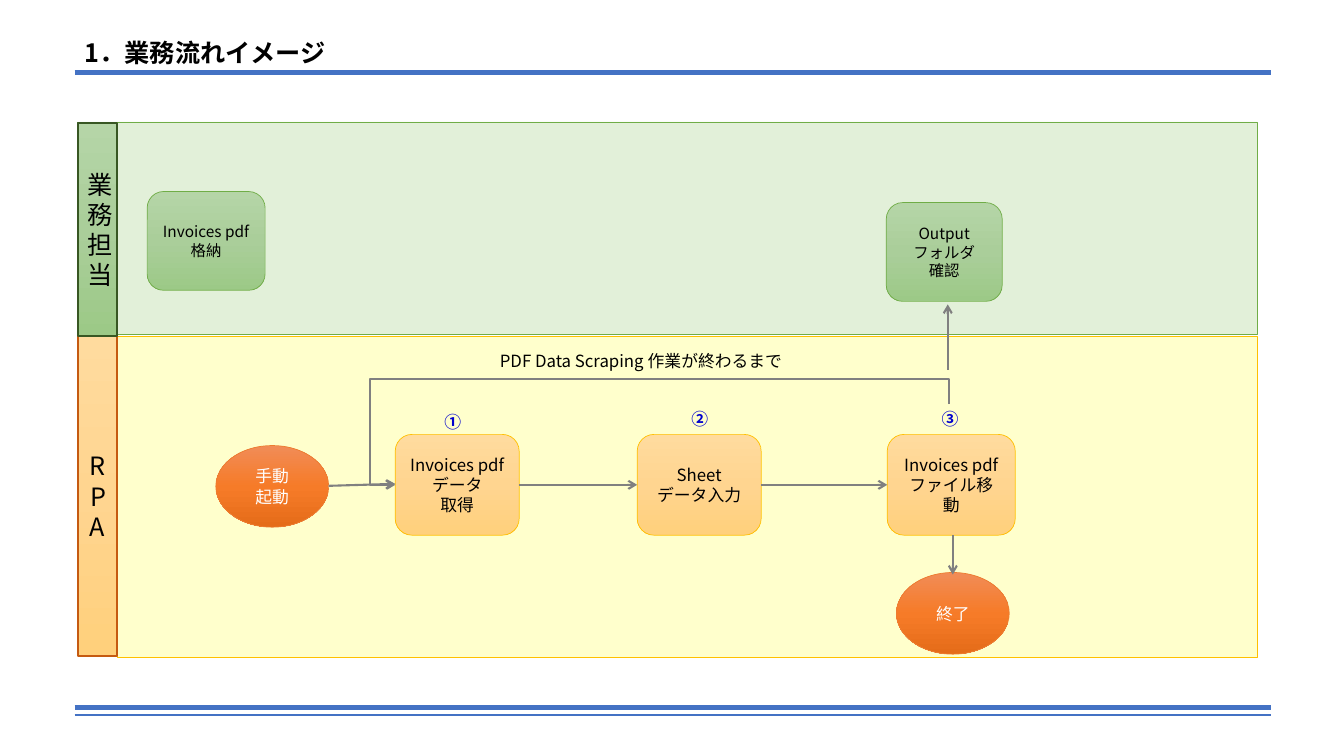
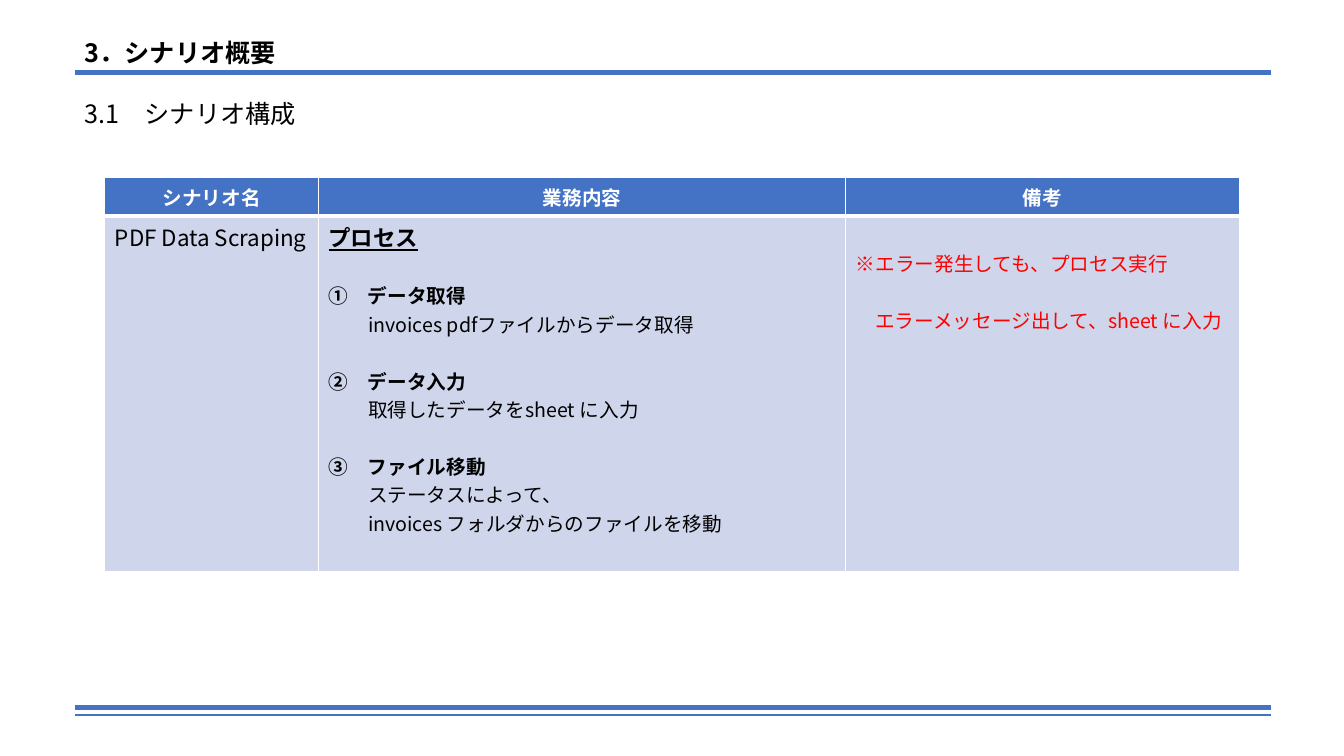
import pptx
import pptx.util
import pptx.dml.color
import pptx.enum.shapes
import pptx.enum.text
import pptx.oxml
import pptx.oxml.ns
import copy
from dataclasses import dataclass

Inches, Pt = pptx.util.Inches, pptx.util.Pt
SHAPE = pptx.enum.shapes.MSO_SHAPE
STRAIGHT = pptx.enum.shapes.MSO_CONNECTOR.STRAIGHT
ALIGN = pptx.enum.text.PP_ALIGN
MIDDLE = pptx.enum.text.MSO_ANCHOR.MIDDLE
qn = pptx.oxml.ns.qn


@dataclass(frozen=True)
class Theme:
    font: str = "Noto Sans CJK JP"
    ink: str = "000000"
    white: str = "FFFFFF"
    blue: str = "4472C4"
    gray: str = "808080"
    number: str = "0000CC"
    alert: str = "FF0000"
    table_body: str = "CFD5EA"
    green: tuple = ("B5D5A7", "AACE9A", "9CC987")
    amber: tuple = ("FFDB9E", "FFD590", "FFD07C")
    orange: tuple = ("F18C57", "F67B28", "E56C19")
    green_line: str = "70AD47"
    amber_line: str = "FFC000"
    orange_line: str = "ED7D31"
    title: int = 18
    lead: int = 16
    body: int = 14
    label: int = 12
    small: int = 11


T = Theme()

# Content: workflow slide (boxes are left, top, width, height in inches)
FLOW_TITLE = "1．業務流れイメージ"
LANES = [  # name, area box, area fill, area line, tab box, tab fill, tab line
    ("RPA", (1.16, 3.34, 11.31, 3.18), "FFFFCC", T.amber_line,
     (0.77, 3.33, 0.39, 3.18), T.amber, "C55A11"),
    ("業務担当", (0.77, 1.21, 11.7, 2.11), "E2F0D9", T.green_line,
     (0.77, 1.22, 0.39, 2.11), T.green, "385723"),
]
STAFF_TASKS = [
    (["Invoices pdf", "格納"], (1.46, 1.9, 1.17, 0.98)),
    (["Output", "フォルダ", "確認"], (8.79, 2.01, 1.15, 0.98)),
]
TERMINALS = [
    (["手動", "起動"], (2.14, 4.42, 1.12, 0.81)),
    (["終了"], (8.89, 5.68, 1.12, 0.81)),
]
STEPS = [  # number, number position, lines, box
    ("①", (4.31, 4.04), ["Invoices pdf データ", "取得"], (3.92, 4.31, 1.23, 1)),
    ("②", (6.76, 4.01), ["Sheet", "データ入力"], (6.32, 4.31, 1.23, 1)),
    ("③", (9.24, 4.01), ["Invoices pdf ファイル移動"], (8.8, 4.31, 1.27, 1)),
]
LOOP_LABEL = "PDF Data Scraping 作業が終わるまで"
LOOP = [(9.41, 4.01), (9.41, 3.76), (3.67, 3.76), (3.67, 4.81), (3.92, 4.81)]

# Content: scenario slide
SCENARIO_TITLE = "3．シナリオ概要"
SCENARIO_HEADING = "3.1　シナリオ構成"
COLUMNS = [("シナリオ名", 2.12), ("業務内容", 5.23), ("備考", 3.9)]
ROW_HEIGHTS = [0.38, 3.53]
SCENARIO_NAME = "PDF Data Scraping"
PROCESS_HEADING = "プロセス"
PROCESS = [
    ("①　データ取得", ["invoices pdfファイルからデータ取得"]),
    ("②　データ入力", ["取得したデータをsheet に入力"]),
    ("③　ファイル移動", ["ステータスによって、",
                  "invoices フォルダからのファイルを移動"]),
]
REMARKS = ["※エラー発生しても、プロセス実行", "エラーメッセージ出して、sheet に入力"]
BLANK_LINE = 20  # points


# Shared drawing helpers
def rgb(value):
    return pptx.dml.color.RGBColor.from_string(value)


def inches(values):
    return [Inches(value) for value in values]


def style(paragraph, size, color=T.ink, bold=False, align=ALIGN.LEFT):
    font = paragraph.font
    font.name, font.size, font.bold = T.font, Pt(size), bold
    font.color.rgb = rgb(color)
    latin = font._element.find(qn("a:latin"))
    east_asian = pptx.oxml.parse_xml(
        f'<a:ea {pptx.oxml.ns.nsdecls("a")} typeface="{T.font}"/>')
    latin.addnext(east_asian)
    paragraph.alignment = align


def write(frame, lines, size, **look):
    for index, line in enumerate(lines):
        add_line(frame, line, size, first=index == 0, **look)


def add_line(frame, text, size, first=False, before=0, **look):
    paragraph = frame.paragraphs[0] if first else frame.add_paragraph()
    paragraph.text = text
    style(paragraph, size, **look)
    if before:
        paragraph.space_before = Pt(before)
    return paragraph


def label(slide, box, text, size, wrap=True, **look):
    frame = slide.shapes.add_textbox(*inches(box)).text_frame
    frame.word_wrap = wrap
    write(frame, [text], size, **look)


def block(slide, kind, box, fill, line, width=0.5, lines=(), size=T.label, color=T.ink):
    shape = slide.shapes.add_shape(kind, *inches(box))
    shape.shadow.inherit = False
    if isinstance(fill, tuple):
        shape.fill.gradient()
        shape.fill.gradient_angle = 270
        stops = shape._element.spPr.find(".//" + qn("a:gsLst"))
        stops.insert(1, copy.deepcopy(stops[0]))
        for index, (stop, tint) in enumerate(zip(shape.fill.gradient_stops, fill)):
            stop.position = index / 2
            stop.color.rgb = rgb(tint)
    else:
        shape.fill.solid()
        shape.fill.fore_color.rgb = rgb(fill)
    shape.line.color.rgb = rgb(line)
    shape.line.width = Pt(width)
    shape.text_frame.word_wrap = True
    shape.text_frame.vertical_anchor = MIDDLE
    write(shape.text_frame, lines, size, color=color, align=ALIGN.CENTER)
    return shape


def add_arrowhead(shape):
    tail = pptx.oxml.parse_xml(f'<a:tailEnd {pptx.oxml.ns.nsdecls("a")} type="arrow"/>')
    shape.line._get_or_add_ln().append(tail)


def rule(slide, start, end, color=T.blue, width=3):
    line = slide.shapes.add_connector(STRAIGHT, *inches(start + end))
    line.line.color.rgb = rgb(color)
    line.line.width = Pt(width)
    line._element.spPr.append(
        pptx.oxml.parse_xml(f'<a:effectLst {pptx.oxml.ns.nsdecls("a")}/>'))
    return line


def arrow(slide, start, end):
    line = rule(slide, start, end, T.gray, 1.5)
    add_arrowhead(line)
    return line


def new_slide(deck, title):
    slide = deck.slides.add_slide(deck.slide_layouts[6])
    for y, width in ((7.02, 3), (7.09, 1.5), (0.72, 3)):
        rule(slide, (0.74, y), (12.61, y), width=width)
    label(slide, (0.74, 0.32, 4.5, 0.4), title, T.title, bold=True)
    return slide


# Workflow slide
def build_flow(deck):
    slide = new_slide(deck, FLOW_TITLE)
    for name, area, area_fill, area_line, tab, tab_fill, tab_line in LANES:
        block(slide, SHAPE.RECTANGLE, area, area_fill, area_line)
        block(slide, SHAPE.RECTANGLE, tab, tab_fill, tab_line, 1.5, [name], T.title)

    for lines, box in STAFF_TASKS:
        block(slide, SHAPE.ROUNDED_RECTANGLE, box, T.green, T.green_line,
              lines=lines, size=T.small)
    for lines, box in TERMINALS:
        block(slide, SHAPE.OVAL, box, T.orange, T.orange_line,
              lines=lines, color=T.white)

    steps = []
    for number, position, lines, box in STEPS:
        label(slide, position + (0.34, 0.3), number, T.label, wrap=False,
              color=T.number, bold=True, align=ALIGN.CENTER)
        steps.append(block(slide, SHAPE.ROUNDED_RECTANGLE, box, T.amber,
                           T.amber_line, lines=lines))

    # Arrows between the steps, from the start and to the end
    for before, after in zip(steps, steps[1:]):
        link = arrow(slide, (0, 0), (1, 1))
        link.begin_connect(before, 3)
        link.end_connect(after, 1)
    arrow(slide, (3.26, 4.82), (3.92, 4.8))
    arrow(slide, (9.45, 5.31), (9.45, 5.7))
    arrow(slide, (9.4, 3.67), (9.4, 3.02))

    # Loop back to the first step
    points = [tuple(inches(point)) for point in LOOP]
    outline = slide.shapes.build_freeform(*points[0])
    outline.add_line_segments(points[1:], close=False)
    loop = outline.convert_to_shape()
    loop.shadow.inherit = False
    loop.fill.background()
    loop.line.color.rgb = rgb(T.gray)
    loop.line.width = Pt(1.5)
    add_arrowhead(loop)
    label(slide, (4.86, 3.43, 3.24, 0.3), LOOP_LABEL, T.label)


# Scenario slide
def paint_cell(cell, fill, top, bottom):
    properties = cell._tc.get_or_add_tcPr()
    for side, width in (("L", 1), ("R", 1), ("T", top), ("B", bottom)):
        properties.append(pptx.oxml.parse_xml(
            f'<a:ln{side} {pptx.oxml.ns.nsdecls("a")} w="{Pt(width)}"><a:solidFill>'
            f'<a:srgbClr val="{T.white}"/></a:solidFill></a:ln{side}>'))
    cell.fill.solid()
    cell.fill.fore_color.rgb = rgb(fill)


def indent(paragraph, attribute, distance):
    paragraph._p.get_or_add_pPr().set(attribute, str(Inches(distance)))


def build_scenario(deck):
    slide = new_slide(deck, SCENARIO_TITLE)
    label(slide, (0.74, 0.93, 8.71, 0.4), SCENARIO_HEADING, T.title)
    table = slide.shapes.add_table(
        2, len(COLUMNS), *inches((1.04, 1.76, 11.25, sum(ROW_HEIGHTS)))).table
    for row, height in zip(table.rows, ROW_HEIGHTS):
        row.height = Inches(height)
    for index, (heading, width) in enumerate(COLUMNS):
        table.columns[index].width = Inches(width)
        header = table.cell(0, index)
        paint_cell(header, T.blue, 1, 3)
        paint_cell(table.cell(1, index), T.table_body, 3, 1)
        write(header.text_frame, [heading], T.body, color=T.white, bold=True,
              align=ALIGN.CENTER)

    name, process, remarks = [table.cell(1, index) for index in range(len(COLUMNS))]
    write(name.text_frame, [SCENARIO_NAME], T.lead)

    heading = add_line(process.text_frame, PROCESS_HEADING, T.lead, first=True, bold=True)
    heading.font.underline = True
    for step, details in PROCESS:
        add_line(process.text_frame, step, T.body, before=BLANK_LINE, bold=True)
        for detail in details:
            indent(add_line(process.text_frame, detail, T.body), "marL", 0.39)

    remarks.margin_top = Inches(0.33)
    add_line(remarks.text_frame, REMARKS[0], T.body, first=True, color=T.alert)
    message = add_line(remarks.text_frame, REMARKS[1], T.body, before=BLANK_LINE,
                       color=T.alert)
    indent(message, "indent", 0.19)


def main():
    deck = pptx.Presentation()
    deck.slide_width, deck.slide_height = inches((13.33, 7.5))
    build_flow(deck)
    build_scenario(deck)
    deck.save("out.pptx")


if __name__ == "__main__":
    main()
